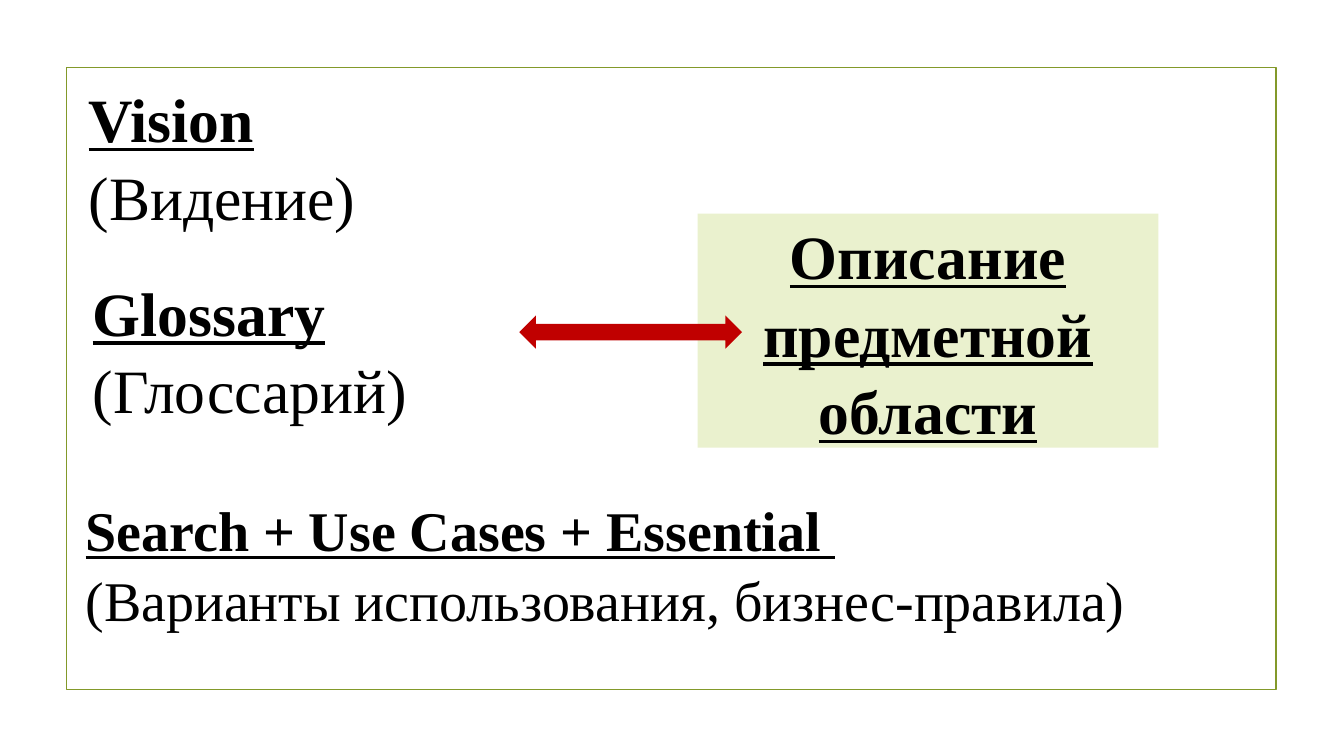
import pptx
import pptx.dml.color
import pptx.enum.shapes
import pptx.enum.text
import pptx.util
from pptx.util import Inches

RGBColor = pptx.dml.color.RGBColor
Shapes = pptx.enum.shapes.MSO_SHAPE
Align = pptx.enum.text.PP_ALIGN

OLIVE = RGBColor(0x83, 0x99, 0x2A)
PALE_GREEN = RGBColor(0xEA, 0xF1, 0xCE)
RED = RGBColor(0xC0, 0x00, 0x00)
BLACK = RGBColor(0x00, 0x00, 0x00)


def add_plain_shape(kind, bounds, fill=None):
    """Add a shape without shadow or outline, filled only if a colour is given."""
    shape = slide.shapes.add_shape(kind, *map(Inches, bounds))
    shape.shadow.inherit = False
    shape.line.fill.background()
    if fill is None:
        shape.fill.background()
    else:
        shape.fill.solid()
        shape.fill.fore_color.rgb = fill
    return shape


def write_paragraphs(box, paragraphs, size, align):
    """Fill a box with paragraphs, each a list of (text, is_heading) spans."""
    frame = box.text_frame
    frame.word_wrap = True
    frame.auto_size = pptx.enum.text.MSO_AUTO_SIZE.SHAPE_TO_FIT_TEXT
    for index, spans in enumerate(paragraphs):
        para = frame.paragraphs[0] if index == 0 else frame.add_paragraph()
        para.alignment = align
        para.line_spacing = 1.05
        para.font.name = "Times New Roman"
        para.font.size = pptx.util.Pt(size)
        para.font.color.rgb = BLACK
        for text, is_heading in spans:
            span = para.add_run()
            span.text = text
            span.font.name = "Times New Roman"
            span.font.size = pptx.util.Pt(size)
            span.font.color.rgb = BLACK
            span.font.bold = is_heading
            span.font.underline = is_heading


deck = pptx.Presentation()
deck.slide_width = Inches(13.33)
deck.slide_height = Inches(7.5)
slide = deck.slides.add_slide(deck.slide_layouts[6])

border = add_plain_shape(Shapes.RECTANGLE, (0.66, 0.67, 12, 6.17))
border.line.color.rgb = OLIVE
border.line.width = pptx.util.Pt(1.25)

domain_panel = add_plain_shape(Shapes.RECTANGLE, (6.92, 2.12, 4.57, 2.32), PALE_GREEN)
domain_words = ["Описание", "предметной", "области"]
write_paragraphs(domain_panel, [[(word, True)] for word in domain_words], 44, Align.CENTER)

add_plain_shape(Shapes.LEFT_RIGHT_ARROW, (5.15, 3.13, 2.21, 0.33), RED)

artifacts = [
    ((0.78, 0.72, 4.57, 1.58), 44, [[("Vision", True)], [("(Видение)", False)]]),
    ((0.82, 2.64, 3.9, 1.58), 44, [[("Glossary ", True), ("(Глоссарий)", False)]]),
    ((0.75, 4.83, 11.5, 1.45), 40, [
        [("Search + Use Cases + Essential ", True)],
        [("(Варианты использования, бизнес-правила)", False)],
    ]),
]
for bounds, size, paragraphs in artifacts:
    box = slide.shapes.add_textbox(*map(Inches, bounds))
    write_paragraphs(box, paragraphs, size, Align.LEFT)

deck.save("out.pptx")
